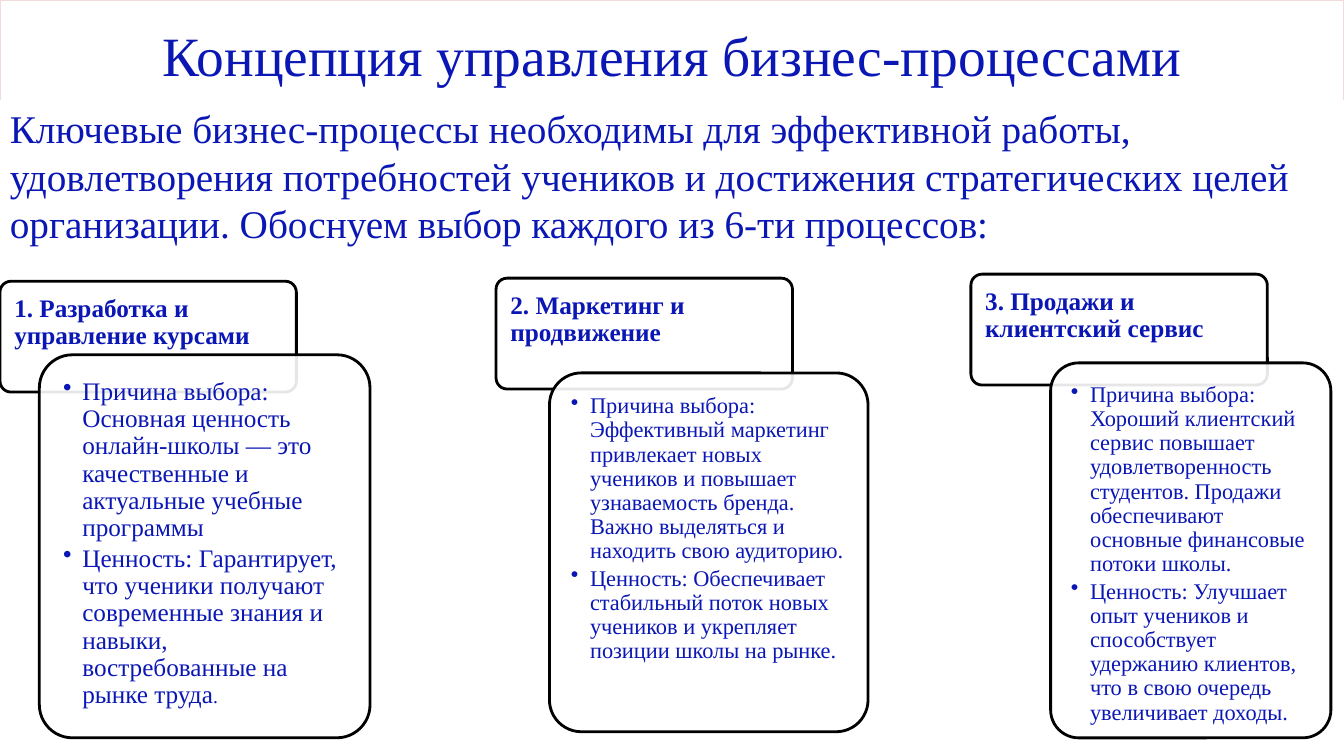
import dataclasses

import pptx
import pptx.dml.color
import pptx.enum.shapes
import pptx.enum.text
import pptx.oxml
import pptx.oxml.ns
import pptx.util

Inches = pptx.util.Inches
Pt = pptx.util.Pt
ANCHOR = pptx.enum.text.MSO_ANCHOR
ALIGN = pptx.enum.text.PP_ALIGN
NS = pptx.oxml.ns.nsdecls("a")


@dataclasses.dataclass(frozen=True)
class Theme:
    font: str = "Times New Roman"
    ink: str = "0B17B5"
    paper: str = "FFFFFF"
    edge: str = "000000"
    frame: str = "F2DCDB"
    title: float = 39.6
    intro: float = 28
    head: float = 18
    dot: float = 14


THEME = Theme()

INTRO = (
    "Ключевые бизнес-процессы необходимы для эффективной работы, "
    "удовлетворения потребностей учеников и достижения стратегических "
    "целей организации. Обоснуем выбор каждого из 6-ти процессов:"
)

# Heading, heading corner, card box, card type size, card inset, points
STEPS = [
    ("1. Разработка и управление курсами", (0, 2.79),
     (0.39, 3.52, 3.28, 3.8), 18, 0.14,
     ["Причина выбора: Основная ценность онлайн-школы — это "
      "качественные и актуальные учебные программы",
      "Ценность: Гарантирует, что ученики получают современные знания "
      "и навыки, востребованные на рынке труда"]),
    ("2. Маркетинг и продвижение", (4.92, 2.76),
     (5.45, 3.7, 3.16, 3.56), 16, 0.12,
     ["Причина выбора: Эффективный маркетинг привлекает новых учеников "
      "и повышает узнаваемость бренда. Важно выделяться и находить "
      "свою аудиторию.",
      "Ценность: Обеспечивает стабильный поток новых учеников и "
      "укрепляет позиции школы на рынке."]),
    ("3. Продажи и клиентский сервис", (9.63, 2.72),
     (10.42, 3.6, 2.78, 3.72), 16, 0.12,
     ["Причина выбора: Хороший клиентский сервис повышает "
      "удовлетворенность студентов. Продажи обеспечивают основные "
      "финансовые потоки школы.",
      "Ценность: Улучшает опыт учеников и способствует удержанию "
      "клиентов, что в свою очередь увеличивает доходы."]),
]


def color(code):
    return pptx.dml.color.RGBColor.from_string(code)


def style(run, size, bold=False):
    run.font.name = THEME.font
    run.font.size = Pt(size)
    run.font.bold = bold
    run.font.color.rgb = color(THEME.ink)


def paint(shape, line, width):
    shape.fill.solid()
    shape.fill.fore_color.rgb = color(THEME.paper)
    shape.line.color.rgb = color(line)
    shape.line.width = Pt(width)


def add_title(slide, text):
    title = slide.shapes.title
    title.left, title.top = Inches(0), Inches(0)
    title.width, title.height = Inches(13.33), Inches(1.07)
    paint(title, THEME.frame, 0.75)
    frame = title.text_frame
    frame.text = text
    frame.auto_size = pptx.enum.text.MSO_AUTO_SIZE.NONE
    frame.vertical_anchor = ANCHOR.MIDDLE
    para = frame.paragraphs[0]
    para.alignment = ALIGN.CENTER
    style(para.runs[0], THEME.title)


def add_intro(slide, text):
    box = slide.shapes.add_textbox(
        Inches(0), Inches(0.99), Inches(13.33), Inches(1.51))
    box.fill.solid()
    box.fill.fore_color.rgb = color(THEME.paper)
    frame = box.text_frame
    frame.word_wrap = True
    frame.text = text
    style(frame.paragraphs[0].runs[0], THEME.intro)


def add_panel(slide, box, inset, lines, size, gap, bold=False):
    """Rounded panel with top-left text; gap is a share of the type size."""
    kind = pptx.enum.shapes.MSO_SHAPE.ROUNDED_RECTANGLE
    panel = slide.shapes.add_shape(kind, *map(Inches, box))
    panel.adjustments[0] = 0.1
    panel.shadow.inherit = False
    paint(panel, THEME.edge, 2)
    frame = panel.text_frame
    frame.word_wrap = True
    frame.vertical_anchor = ANCHOR.TOP
    frame.margin_left = frame.margin_right = Inches(inset)
    frame.margin_top = frame.margin_bottom = Inches(inset)
    frame.text = "\n".join(lines)
    for para in frame.paragraphs:
        para.alignment = ALIGN.LEFT
        para.line_spacing = 0.9
        para.space_after = Pt(size * gap)
        style(para.runs[0], size, bold)
    return panel


def add_head(slide, text, corner):
    add_panel(slide, (*corner, 2.94, 1.1), 0.11, [text],
              THEME.head, 0.35, bold=True)


def add_card(slide, box, size, inset, points):
    card = add_panel(slide, box, inset, points, size, 0.15)
    # Let the heading's edge show faintly through the card
    fill = card.fill._xPr.find(pptx.oxml.ns.qn("a:solidFill"))
    fill[0].append(pptx.oxml.parse_xml(f'<a:alpha {NS} val="90000"/>'))
    for para in card.text_frame.paragraphs:
        props = para._p.get_or_add_pPr()
        props.set("marL", str(Inches(0.19)))
        props.set("indent", str(-Inches(0.19)))
        props.append(pptx.oxml.parse_xml(f'<a:buChar {NS} char="•"/>'))
    return card


def main():
    deck = pptx.Presentation()
    deck.slide_width, deck.slide_height = Inches(13.33), Inches(7.5)
    slide = deck.slides.add_slide(deck.slide_layouts[5])

    # Title and introduction
    add_title(slide, "Концепция управления бизнес-процессами")
    add_intro(slide, INTRO)

    # Process headings with their cards
    cards = []
    for head, corner, box, size, inset, points in STEPS:
        add_head(slide, head, corner)
        cards.append(add_card(slide, box, size, inset, points))

    # Smaller full stop that ends the first card
    dot = cards[0].text_frame.paragraphs[-1].add_run()
    dot.text = "."
    style(dot, THEME.dot)

    deck.save("out.pptx")


if __name__ == "__main__":
    main()
